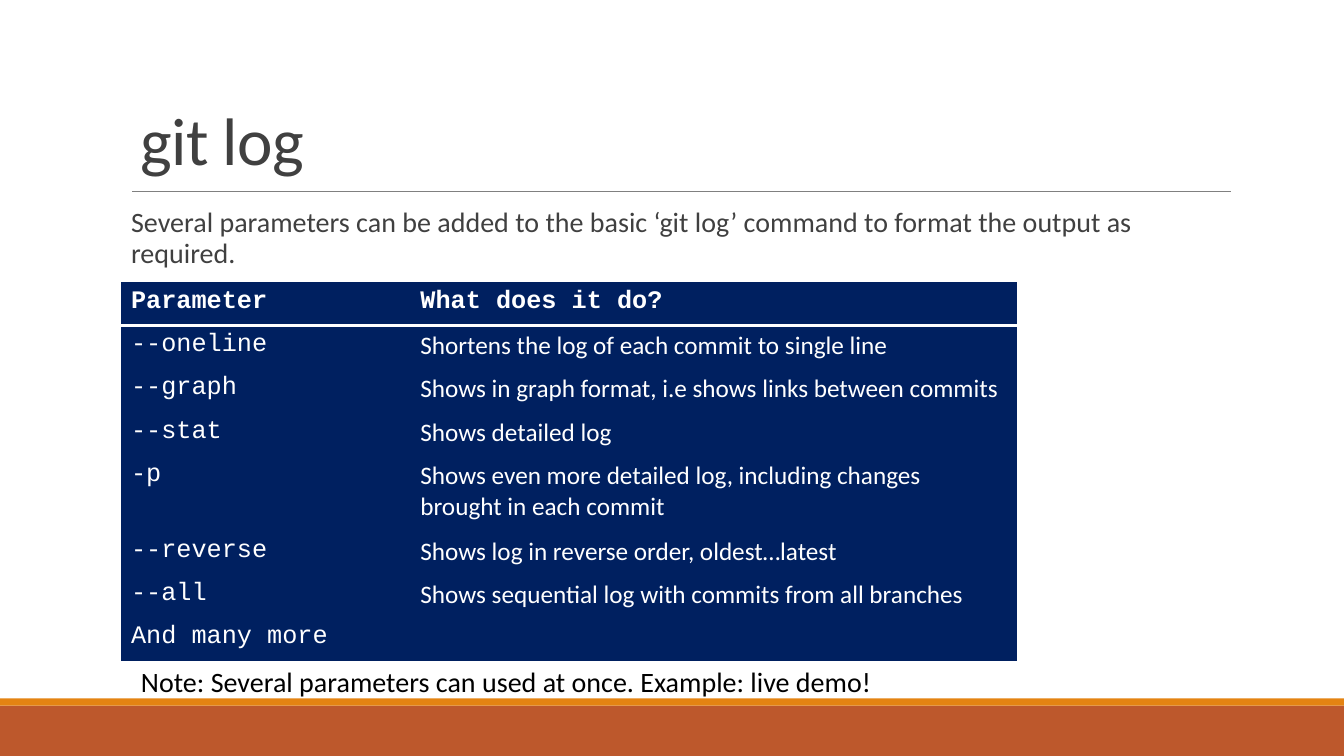
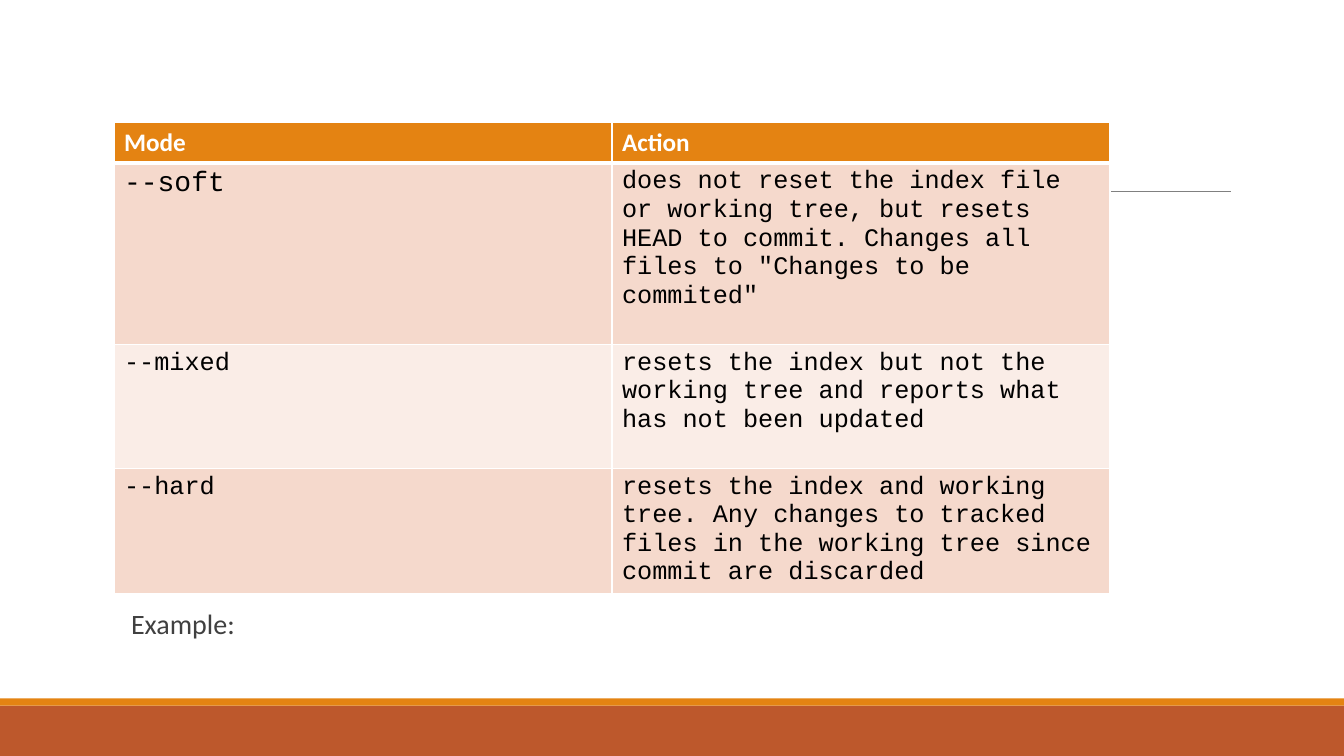
from lxml import etree
from pptx import Presentation
from pptx.dml.color import RGBColor as RGB
from pptx.enum.shapes import MSO_CONNECTOR as Link, MSO_SHAPE as Shape
from pptx.enum.text import MSO_ANCHOR as Anchor
from pptx.oxml.ns import qn
from pptx.util import Inches, Pt

WIDE, HIGH = 13.33, 7.5
RUST, ORANGE = RGB(0xBD, 0x58, 0x2C), RGB(0xE4, 0x83, 0x12)
GRAY, DARK = RGB(0x80, 0x80, 0x80), RGB(0x40, 0x40, 0x40)
WHITE, BLACK, NAVY = RGB(255, 255, 255), RGB(0, 0, 0), RGB(0, 0x20, 0x60)
ROSE, BLUSH = RGB(0xF5, 0xD9, 0xCC), RGB(0xFA, 0xED, 0xE7)
SANS, MONO = "Calibri", "Courier New"

# Content
TITLE = "git log"
INTRO = ("Several parameters can be added to the basic ‘git log’ command "
         "to format the output as required.")
NOTE = "Note: Several parameters can used at once. Example: live demo!"
PARAMS = [
    ("Parameter", "What does it do?"),
    ("--oneline", "Shortens the log of each commit to single line"),
    ("--graph", "Shows in graph format, i.e shows links between commits"),
    ("--stat", "Shows detailed log"),
    ("-p", "Shows even more detailed log, including changes brought in each commit"),
    ("--reverse", "Shows log in reverse order, oldest…latest"),
    ("--all", "Shows sequential log with commits from all branches"),
    ("And many more", ""),
]
MODES = [
    ("Mode", "Action"),
    ("--soft", "does not reset the index file or working tree, but resets HEAD "
               "to commit. Changes all files to \"Changes to be commited\""),
    ("--mixed", "resets the index but not the working tree and reports what "
                "has not been updated"),
    ("--hard", "resets the index and working tree. Any changes to tracked "
               "files in the working tree since commit are discarded"),
]

# Shared formats
HEAD = dict(name=SANS, size=Pt(48))
BODY = dict(name=SANS, size=Pt(20))
CODE = dict(name=MONO, size=Pt(18), bold=False)
WORDS = {**CODE, "name": SANS}


def style(run, look, color):
    for key, value in look.items():
        setattr(run.font, key, value)
    run.font.color.rgb = color


def write(slide, text, box, look, color, space=1, wrap=True, **frame):
    area = slide.shapes.add_textbox(*map(Inches, box)).text_frame
    area.word_wrap = wrap
    for key, value in frame.items():
        setattr(area, key, value)
    para = area.paragraphs[0]
    para.line_spacing = space
    run = para.add_run()
    run.text = text
    style(run, look, color)
    return run


def body(slide, text, top):
    write(slide, text, (1.3, top, 10.9, 0.75), BODY, DARK, 0.9,
          margin_left=0, margin_right=0)


def edge(cell, side, width):
    """Draw one white cell border, or none for width 0."""
    line = etree.SubElement(cell._tc.get_or_add_tcPr(), qn("a:ln" + side),
                            w=str(Pt(width)))
    if width:
        fill = etree.SubElement(line, qn("a:solidFill"))
        etree.SubElement(fill, qn("a:srgbClr"), val=str(WHITE))
    else:
        etree.SubElement(line, qn("a:noFill"))


def grid(slide, data, spot, cols, rows, fills, thin, thick, pick):
    """Add a table; pick(row, col) gives the text format and colour."""
    size = sum(cols), sum(rows)
    table = slide.shapes.add_table(len(rows), len(cols),
                                   *map(Inches, spot + size)).table
    table.horz_banding = False
    for col, width in zip(table.columns, cols):
        col.width = Inches(width)
    for r, (row, high) in enumerate(zip(table.rows, rows)):
        row.height = Inches(high)
        for c, cell in enumerate(row.cells):
            for side in "LRTB":
                rule = (r, side) in ((0, "B"), (1, "T"))
                edge(cell, side, thick if rule else thin)
            cell.fill.solid()
            cell.fill.fore_color.rgb = fills[r]
            para = cell.text_frame.paragraphs[0]
            look, color = pick(r, c)
            para.font.size = look["size"]
            if data[r][c]:
                run = para.add_run()
                run.text = data[r][c]
                style(run, look, color)


def base(deck):
    """Add a blank slide with the footer bands and the title rule."""
    slide = deck.slides.add_slide(deck.slide_layouts[6])
    for top, high, color in ((7, 0.5, RUST), (6.93, 0.07, ORANGE)):
        band = slide.shapes.add_shape(
            Shape.RECTANGLE, *map(Inches, (0, top, WIDE, high)))
        band.shadow.inherit = False
        band.fill.solid()
        band.fill.fore_color.rgb = color
        band.line.fill.background()
    rule = slide.shapes.add_connector(
        Link.STRAIGHT, *map(Inches, (1.31, 1.9, 12.21, 1.9)))
    rule.line.color.rgb = GRAY
    rule.line.width = Pt(0.5)
    etree.SubElement(rule._element.spPr, qn("a:effectLst"))
    return slide


def param(r, c):
    if r == 0:
        return {**CODE, "bold": True}, WHITE
    return (WORDS if c else CODE), WHITE


def mode(r, c):
    if r == 0:
        return {**WORDS, "bold": True}, WHITE
    return ({**CODE, "size": Pt(20)} if (r, c) == (1, 0) else CODE), BLACK


def main():
    deck = Presentation()
    deck.slide_width, deck.slide_height = Inches(WIDE), Inches(HIGH)

    # Log parameters
    slide = base(deck)
    run = write(slide, TITLE, (1.3, 0.24, 11, 1.59), HEAD, DARK, 0.85,
                vertical_anchor=Anchor.BOTTOM)
    run.font._element.set("spc", "-50")
    body(slide, INTRO, 2.02)
    rows = [0.75 if name == "-p" else 0.43 for name, _ in PARAMS]
    grid(slide, PARAMS, (1.2, 2.8), (2.87, 6.02), rows,
         [NAVY] * len(rows), 0, 2, param)
    write(slide, NOTE, (1.3, 6.54, 7.45, 0.44), BODY, BLACK, wrap=False)

    # Reset modes
    slide = base(deck)
    grid(slide, MODES, (1.13, 1.21), (4.94, 4.94), (0.4, 1.8, 1.23, 1.24),
         (ORANGE, ROSE, BLUSH, ROSE), 1, 3, mode)
    body(slide, "Example:", 6.01)

    deck.save("out.pptx")


if __name__ == "__main__":
    main()
